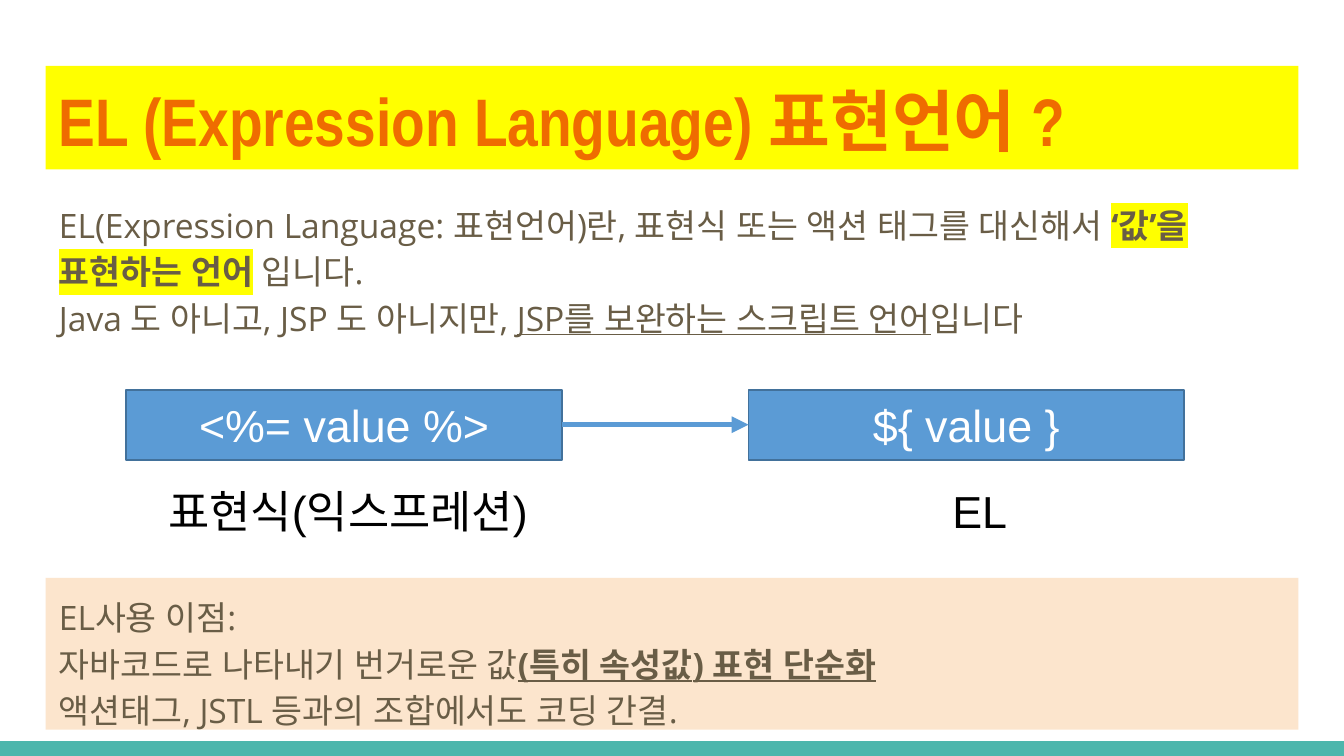
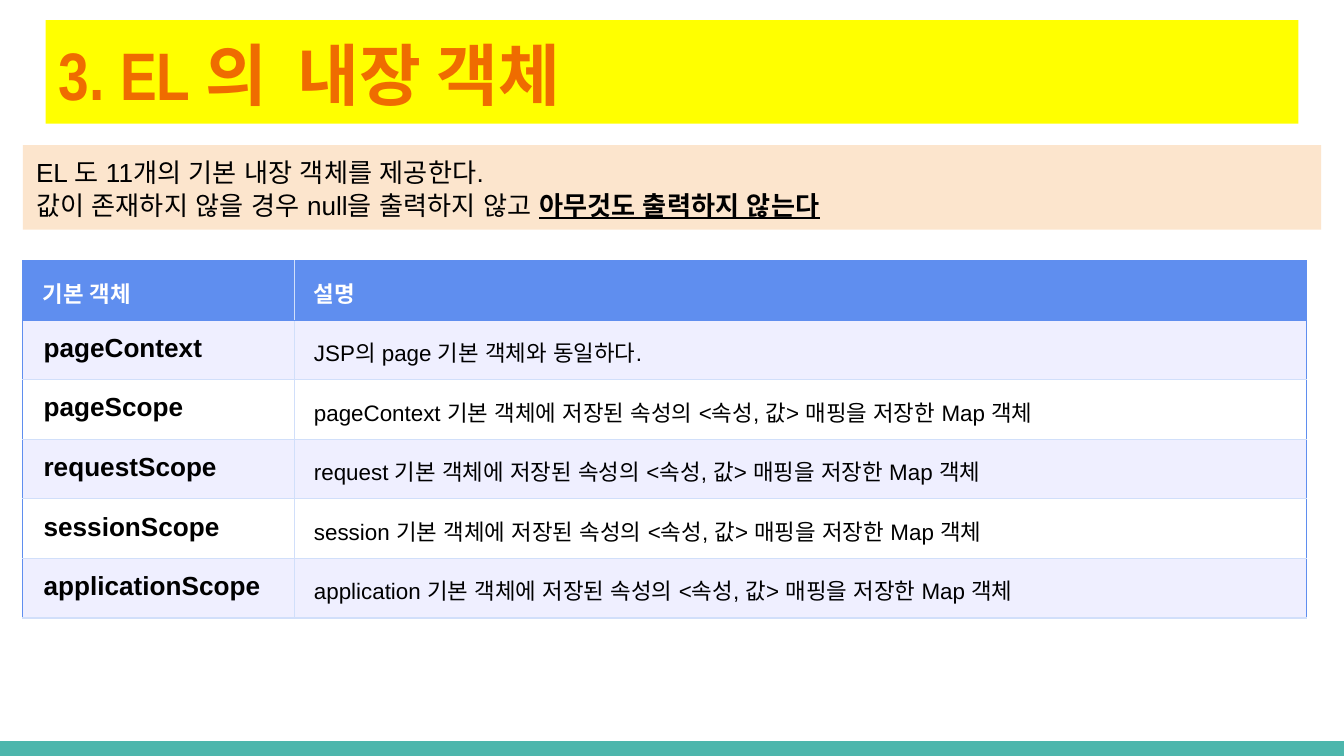
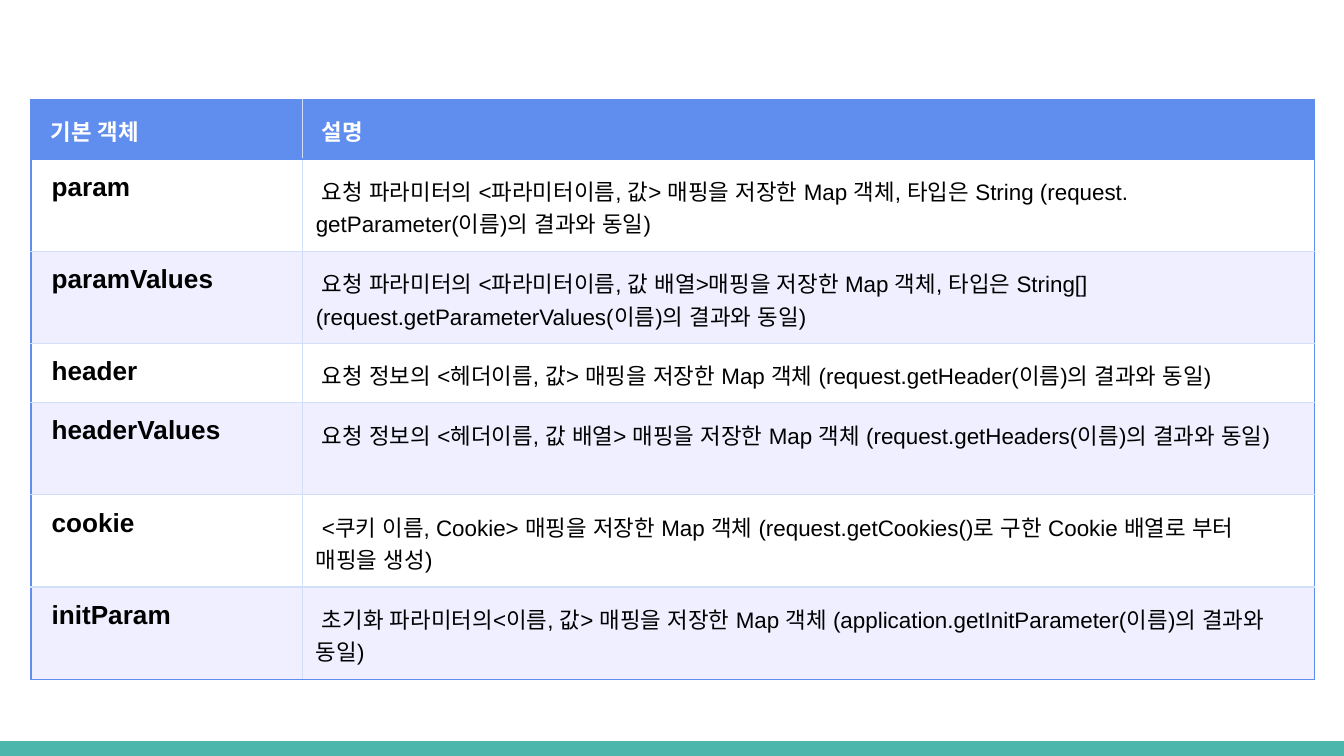
from lxml import etree
from pptx import Presentation
from pptx.dml.color import RGBColor
from pptx.enum.shapes import MSO_CONNECTOR, MSO_SHAPE
from pptx.enum.text import MSO_ANCHOR, PP_ALIGN
from pptx.oxml.ns import qn
from pptx.util import Inches, Pt

RECTANGLE = MSO_SHAPE.RECTANGLE
STRAIGHT = MSO_CONNECTOR.STRAIGHT
TOP, MIDDLE = MSO_ANCHOR.TOP, MSO_ANCHOR.MIDDLE
LEFT, CENTER = PP_ALIGN.LEFT, PP_ALIGN.CENTER

WIDTH, HEIGHT = 10, 10 * 9 / 16
MARGIN = 0.34
CONTENT_WIDTH = WIDTH - 2 * MARGIN
FOOTER_HEIGHT = 0.11
INSETS, TIGHT_INSETS = (0.1, 0.1), (0.07, 0.04)
BODY_SPACING, NOTE_SPACING, CELL_SPACING = 1.15, 1.05, 1.3

YELLOW, ORANGE, TEAL, PEACH = "FFFF00", "EF6C00", "4DB6AC", "FCE5CD"
BROWN, BLACK, WHITE = "695D46", "000000", "FFFFFF"
BOX_BLUE, BOX_EDGE = "5B9BD5", "42719B"
TABLE_BLUE, TABLE_RULE, TABLE_BAND = "5F8EEF", "D1DFFA", "EFEFFF"

TITLE_STYLE = {"size": 36, "font": "Arial Narrow", "color": ORANGE, "bold": True}
BODY_STYLE = {"size": 18, "font": "Open Sans", "color": BROWN}
DIAGRAM_STYLE = {"size": 24, "font": "Arial", "color": BLACK}
NOTE_STYLE = {"size": 14, "font": "Arial", "color": BLACK}
CELL_STYLE = {"size": 12, "font": "Arial", "color": BLACK}
HEADER_STYLE = {**CELL_STYLE, "color": WHITE, "bold": True}
NAME_STYLE = {**NOTE_STYLE, "bold": True}

BOLD_UNDERLINE = {"bold": True, "underline": True}

# Each run is its text and what differs from the style of its box.
INTRO_TITLE = "EL (Expression Language) 표현언어 ?"
INTRO = [
    ("EL(Expression Language: 표현언어)란, 표현식 또는 액션 태그를 대신해서 ", {}),
    ("‘값’을 표현하는 언어", {"bold": True, "highlight": YELLOW}),
    (" 입니다. \nJava 도 아니고, JSP 도 아니지만, ", {}),
    ("JSP를 보완하는 스크립트 언어", {"underline": True}),
    ("입니다", {}),
]
SYNTAXES = [("<%= value %>", "표현식(익스프레션)"), ("${ value }", "EL")]
BENEFITS = [
    ("EL사용 이점:\n자바코드로 나타내기 번거로운 값", {}),
    ("(특히 속성값) 표현 단순화\n", BOLD_UNDERLINE),
    ("액션태그, JSTL 등과의 조합에서도 코딩 간결.", {}),
]
OBJECTS_TITLE = "3. EL 의  내장 객체"
OBJECTS_NOTE = [
    ("EL 도 11개의 기본 내장 객체를 제공한다.\n"
     "값이 존재하지 않을 경우 null을 출력하지 않고 ", {}),
    ("아무것도 출력하지 않는다", BOLD_UNDERLINE),
]
TABLE_HEADER = ("기본 객체", "설명")
SCOPE_OBJECTS = [
    ("pageContext", "JSP의 page 기본 객체와 동일하다."),
] + [
    (f"{scope}Scope", f"{source} 기본 객체에 저장된 속성의 <속성, 값> 매핑을 저장한 Map 객체")
    for scope, source in [
        ("page", "pageContext"), ("request", "request"),
        ("session", "session"), ("application", "application"),
    ]
]
REQUEST_OBJECTS = [
    ("param", "요청 파라미터의 <파라미터이름, 값> 매핑을 저장한 Map 객체, 타입은 String "
              "(request.getParameter(이름)의 결과와 동일)"),
    ("paramValues", "요청 파라미터의 <파라미터이름, 값 배열>매핑을 저장한 Map 객체, 타입은 String[] "
                    "(request.getParameterValues(이름)의 결과와 동일)"),
    ("header", "요청 정보의 <헤더이름, 값> 매핑을 저장한 Map 객체 "
               "(request.getHeader(이름)의 결과와 동일)"),
    ("headerValues", "요청 정보의 <헤더이름, 값 배열> 매핑을 저장한 Map 객체 "
                     "(request.getHeaders(이름)의 결과와 동일)"),
    ("cookie", "<쿠키 이름, Cookie> 매핑을 저장한 Map 객체 "
               "(request.getCookies()로 구한 Cookie 배열로 부터 매핑을 생성)"),
    ("initParam", "초기화 파라미터의<이름, 값> 매핑을 저장한 Map 객체 "
                  "(application.getInitParameter(이름)의 결과와 동일)"),
]


def rgb(color):
    return RGBColor.from_string(color)


def add_color_element(parent, tag, color):
    """Append a DrawingML element that holds one RGB colour."""
    element = etree.SubElement(parent, qn(tag))
    etree.SubElement(element, qn("a:srgbClr"), val=color)
    return element


def style_run(run, size, font, color, bold=False, underline=False, highlight=None):
    run.font.size = Pt(size)
    run.font.bold = bold
    run.font.underline = underline
    run.font.color.rgb = rgb(color)
    run.font.name = font
    properties = run.font._element
    latin = properties.find(qn("a:latin"))
    east_asian = etree.SubElement(properties, qn("a:ea"), typeface=font)
    latin.addnext(east_asian)
    if highlight:
        latin.addprevious(add_color_element(properties, "a:highlight", highlight))


def write(frame, runs, style, align=LEFT, spacing=None):
    """Fill a frame's first paragraph; a newline in a run becomes a line break."""
    frame.word_wrap = True
    paragraph = frame.paragraphs[0]
    paragraph.alignment = align
    if spacing:
        paragraph.line_spacing = spacing
    for text, changes in runs:
        for index, line in enumerate(text.split("\n")):
            if index:
                paragraph.add_line_break()
            if line:
                run = paragraph.add_run()
                run.text = line
                style_run(run, **{**style, **changes})


def set_insets(frame, insets):
    horizontal, vertical = (Inches(inset) for inset in insets)
    frame.margin_left = frame.margin_right = horizontal
    frame.margin_top = frame.margin_bottom = vertical


def add_box(slide, box, fill=None, line=None, runs=(), style=None,
            insets=INSETS, anchor=TOP, align=LEFT, spacing=None):
    position = [Inches(length) for length in box]
    if fill:
        shape = slide.shapes.add_shape(RECTANGLE, *position)
        shape.shadow.inherit = False
        shape.fill.solid()
        shape.fill.fore_color.rgb = rgb(fill)
        if line:
            shape.line.color.rgb = rgb(line)
            shape.line.width = Pt(1)
        else:
            shape.line.fill.background()
    else:
        shape = slide.shapes.add_textbox(*position)
    if runs:
        frame = shape.text_frame
        set_insets(frame, insets)
        frame.vertical_anchor = anchor
        write(frame, runs, style, align, spacing)


def add_arrow(slide, start, end, y):
    arrow = slide.shapes.add_connector(
        STRAIGHT, Inches(start), Inches(y), Inches(end), Inches(y))
    arrow.line.color.rgb = rgb(BOX_BLUE)
    arrow.line.width = Pt(3)
    etree.SubElement(arrow.line._get_or_add_ln(), qn("a:tailEnd"), type="triangle")
    etree.SubElement(arrow._element.spPr, qn("a:effectLst"))


def add_slide(presentation):
    slide = presentation.slides.add_slide(presentation.slide_layouts[6])
    add_box(slide, (0, HEIGHT - FOOTER_HEIGHT, WIDTH, FOOTER_HEIGHT), TEAL)
    return slide


def add_title(slide, top, text):
    add_box(slide, (MARGIN, top, CONTENT_WIDTH, 0.77), YELLOW,
            runs=[(text, {})], style=TITLE_STYLE)


def set_borders(cell, colors):
    """Colour the left, right, top and bottom borders of a cell."""
    properties = cell._tc.get_or_add_tcPr()
    for index, (side, color) in enumerate(zip("LRTB", colors)):
        line = etree.Element(qn(f"a:ln{side}"), w=str(Pt(0.75)))
        add_color_element(line, "a:solidFill", color)
        properties.insert(index, line)


def add_object_table(slide, left, top, objects, first_band, bottom_edge):
    columns, row_height = (2.02, 7.53), 0.44
    rows = [TABLE_HEADER] + objects
    table = slide.shapes.add_table(
        len(rows), len(columns), Inches(left), Inches(top),
        Inches(sum(columns)), Inches(row_height * len(rows))).table
    for column, width in zip(table.columns, columns):
        column.width = Inches(width)
    for row, texts in enumerate(rows):
        is_header = row == 0
        top_color = TABLE_BLUE if row < 2 else TABLE_RULE
        bottom_color = TABLE_BLUE if is_header else TABLE_RULE
        if row == len(rows) - 1:
            bottom_color = bottom_edge
        for column, text in enumerate(texts):
            cell = table.cell(row, column)
            set_insets(cell, INSETS)
            style = HEADER_STYLE if is_header else (NAME_STYLE, CELL_STYLE)[column]
            spacing = None if style is NAME_STYLE else CELL_SPACING
            write(cell.text_frame, [(f" {text}", {})], style, spacing=spacing)
            if is_header or (row - first_band) % 2 == 0:
                cell.fill.solid()
                cell.fill.fore_color.rgb = rgb(TABLE_BLUE if is_header else TABLE_BAND)
            else:
                cell.fill.background()
            sides = (TABLE_BLUE, TABLE_RULE) if column == 0 else (TABLE_RULE, TABLE_BLUE)
            set_borders(cell, (*sides, top_color, bottom_color))


def build_intro_slide(presentation):
    slide = add_slide(presentation)
    add_title(slide, 0.49, INTRO_TITLE)
    add_box(slide, (MARGIN, 1.38, CONTENT_WIDTH, 1.26),
            runs=INTRO, style=BODY_STYLE, spacing=BODY_SPACING)
    left, top, width, height, step = 0.94, 2.9, 3.24, 0.52, 4.63
    label_boxes = [(0.8, 3.58), (6.61, 1.36)]
    diagram = {"insets": TIGHT_INSETS, "align": CENTER}
    for index, (code, label) in enumerate(SYNTAXES):
        add_box(slide, (left + index * step, top, width, height), BOX_BLUE, BOX_EDGE,
                [(code, {"color": WHITE})], DIAGRAM_STYLE, anchor=MIDDLE, **diagram)
        label_left, label_width = label_boxes[index]
        add_box(slide, (label_left, 3.56, label_width, height),
                runs=[(label, {})], style=DIAGRAM_STYLE, **diagram)
    add_arrow(slide, left + width, left + step, top + height / 2)
    add_box(slide, (MARGIN, 4.3, CONTENT_WIDTH, 1.13), PEACH,
            runs=BENEFITS, style=BODY_STYLE, spacing=BODY_SPACING)


def build_scope_slide(presentation):
    slide = add_slide(presentation)
    add_title(slide, 0.15, OBJECTS_TITLE)
    left = MARGIN / 2
    add_box(slide, (left, 1.08, WIDTH - 2 * left, 0.63), PEACH, runs=OBJECTS_NOTE,
            style=NOTE_STYLE, anchor=MIDDLE, spacing=NOTE_SPACING)
    add_object_table(slide, left, 1.94, SCOPE_OBJECTS, 1, TABLE_RULE)


def build_request_slide(presentation):
    slide = add_slide(presentation)
    add_object_table(slide, 0.23, 0.74, REQUEST_OBJECTS, 2, TABLE_BLUE)


def main():
    presentation = Presentation()
    presentation.slide_width = Inches(WIDTH)
    presentation.slide_height = Inches(HEIGHT)
    build_intro_slide(presentation)
    build_scope_slide(presentation)
    build_request_slide(presentation)
    presentation.save("out.pptx")


if __name__ == "__main__":
    main()
